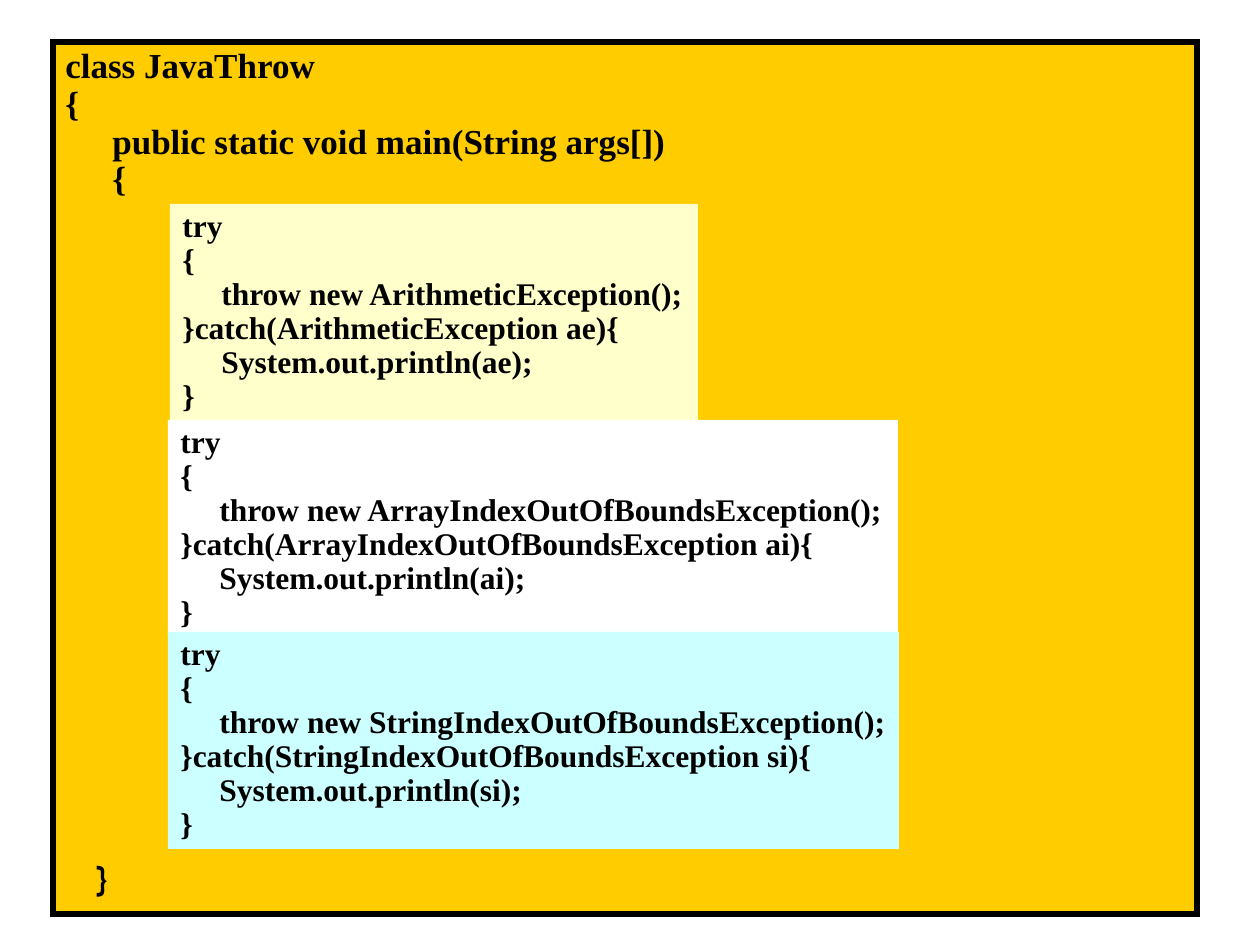
from lxml.etree import SubElement
from pptx import Presentation
from pptx.dml.color import RGBColor
from pptx.enum.shapes import MSO_SHAPE
from pptx.enum.text import MSO_ANCHOR, MSO_AUTO_SIZE, PP_ALIGN
from pptx.oxml.ns import qn
from pptx.util import Emu, Pt

# Content: (text, indent level) per line of code
OPENING = [
    ("class JavaThrow", 0),
    ("{", 0),
    ("public static void main(String args[])", 1),
    ("{", 1),
]
CLOSING = "}"
# exception, variable, fill name, (left, top, width, height)
TRY_BLOCKS = [
    ("ArithmeticException", "ae", "cream", (170, 204, 528, 217)),
    ("ArrayIndexOutOfBoundsException", "ai", "white", (168, 420, 730, 217)),
    ("StringIndexOutOfBoundsException", "si", "aqua", (168, 632, 731, 217)),
]
FRAME = (53, 42, 1144, 872)
MAIN_INDENT, TRY_INDENT, CLOSING_INDENT = 47, 39, 31
CLOSING_GAP = 663

THEME = {
    "amber": "FFCC00", "cream": "FFFFCC", "white": "FFFFFF", "aqua": "CCFFFF",
    "ink": "000000", "code_font": "Times New Roman", "brace_font": "Cabin",
    "main_size": 20, "try_size": 18, "border": 3, "line_spacing": 0.9,
}
SCALE = 914400 / 126


def px(length):
    return Emu(round(length * SCALE))


def color(name):
    return RGBColor.from_string(THEME[name])


def add_panel(page, bounds, fill, wrap):
    box = page.shapes.add_shape(MSO_SHAPE.RECTANGLE, *map(px, bounds))
    box.shadow.inherit = False
    box.fill.solid()
    box.fill.fore_color.rgb = color(fill)
    box.line.fill.background()
    frame_format = {
        "word_wrap": wrap, "auto_size": MSO_AUTO_SIZE.NONE,
        "vertical_anchor": MSO_ANCHOR.TOP,
    }
    for name, value in frame_format.items():
        setattr(box.text_frame, name, value)
    return box


def add_code(box, lines, size, indent):
    for number, (text, level) in enumerate(lines):
        frame = box.text_frame
        para = frame.add_paragraph() if number else frame.paragraphs[0]
        add_line(para, text, size, level * indent)


def add_line(para, text, size, indent, font="code_font"):
    para.alignment = PP_ALIGN.LEFT
    para.line_spacing = THEME["line_spacing"]
    para._p.get_or_add_pPr().set("marL", str(px(indent)))
    span = para.add_run()
    span.text = text
    font_format = {"name": THEME[font], "size": Pt(THEME[size]), "bold": True}
    for name, value in font_format.items():
        setattr(span.font, name, value)
    span.font.color.rgb = color("ink")


deck = Presentation()
deck.slide_width, deck.slide_height = px(1260), px(945)
page = deck.slides.add_slide(deck.slide_layouts[6])

# Class frame with square corners, its opening and closing lines
class_box = add_panel(page, FRAME, "amber", True)
class_box.line.color.rgb = color("ink")
class_box.line.width = Pt(THEME["border"])
outline = class_box._element.spPr.find(qn("a:ln"))
SubElement(outline, qn("a:miter")).set("lim", "800000")
add_code(class_box, OPENING, "main_size", MAIN_INDENT)
closing_para = class_box.text_frame.add_paragraph()
closing_para.space_before = px(CLOSING_GAP)
add_line(closing_para, CLOSING, "main_size", CLOSING_INDENT, "brace_font")

# Try and catch blocks
for exception, variable, fill, bounds in TRY_BLOCKS:
    lines = [
        ("try", 0),
        ("{", 0),
        (f"throw new {exception}();", 1),
        (f"}}catch({exception} {variable}){{", 0),
        (f"System.out.println({variable});", 1),
        ("}", 0),
    ]
    try_box = add_panel(page, bounds, fill, False)
    add_code(try_box, lines, "try_size", TRY_INDENT)

deck.save("out.pptx")
